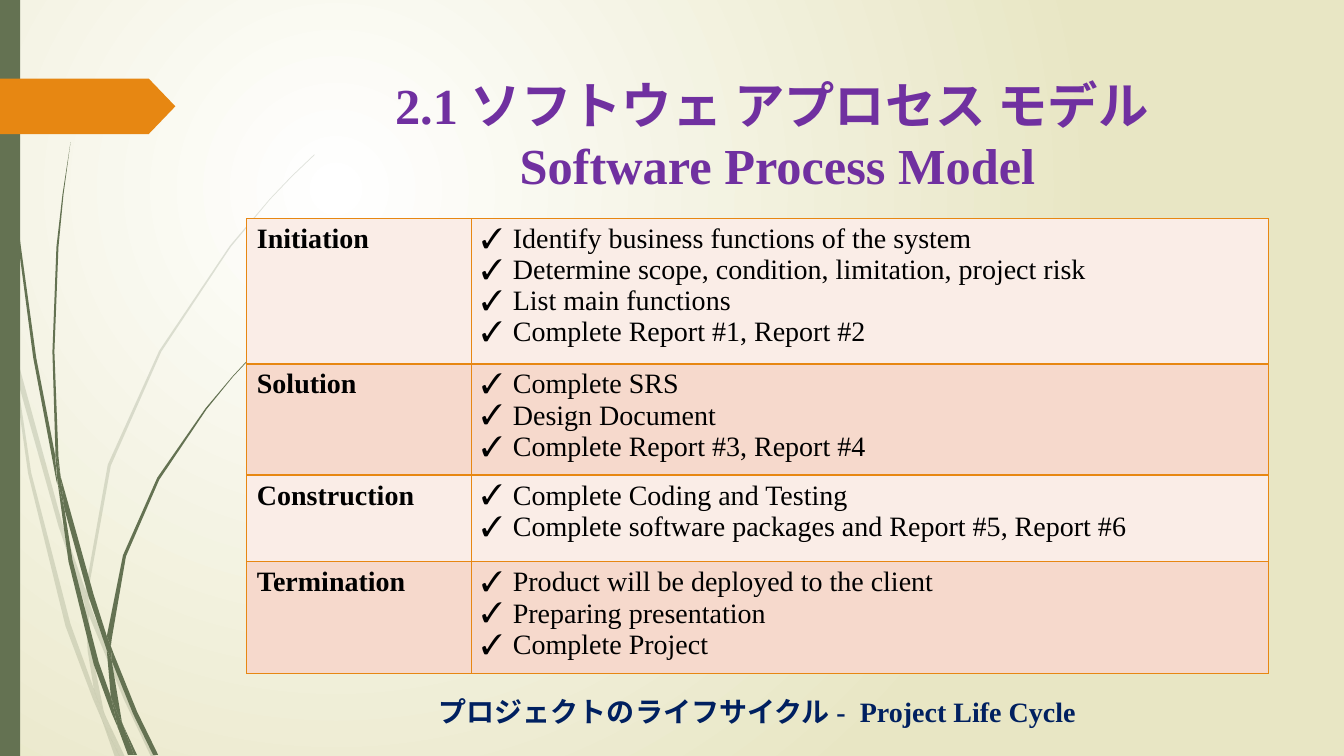
from lxml.etree import SubElement
from pptx import Presentation
from pptx.dml.color import RGBColor
from pptx.enum.shapes import MSO_SHAPE
from pptx.enum.text import MSO_ANCHOR, MSO_AUTO_SIZE, PP_ALIGN
from pptx.oxml import parse_xml
from pptx.oxml.ns import nsdecls, qn
from pptx.util import Cm, Pt

LATIN, JAPANESE = "Times New Roman", "Noto Sans CJK SC"
GREEN, ORANGE = "647252", "E78712"
ROW_FILLS = ("FAEDE7", "F6D9CC")
CM_PER_GRASS_UNIT = 2.54

FADED_BLADES = [
    [(0.11, 3.5), (0.09, 3.22), (0, 2.82), (0, 2.99), (0.1, 3.44)],
    [(0.58, 5.22), (0.84, 5.99), (0.85, 5.86), (0.62, 5.2), (0.14, 3.45), (0.17, 3.76)],
    [(0.92, 6.07), (0.88, 5.96), (0.88, 6.1), (1.23, 6.94), (1.5, 7.51), (1.55, 7.51),
     (1.27, 6.92)],
    [(1.19, 7.51), (1.24, 7.51), (1.05, 7.11)],
    [(0.93, 6.83), (0.7, 6.19), (0.31, 4.69), (0.17, 3.76), (0.11, 3.5), (0.28, 4.7),
     (0.65, 6.21), (0.92, 6.93), (1.01, 7.14), (0.99, 7.07)],
    [(0.84, 5.99), (0.87, 6.46), (0.93, 6.83), (0.96, 6.92), (1.05, 7.11), (1.03, 7.06),
     (0.91, 6.46), (0.88, 6.1), (0.88, 6.08)],
    [(0.88, 5.84), (1.1, 4.62), (1.6, 3.49), (2.29, 2.45), (2.68, 1.98), (2.9, 1.75),
     (3.12, 1.54), (3.12, 1.53), (2.89, 1.75), (2.68, 1.97), (2.28, 2.44), (1.58, 3.48),
     (1.07, 4.61), (0.85, 5.84), (0.85, 5.86), (0.88, 5.96)],
    [(1.01, 7.14), (1.14, 7.51), (1.19, 7.51)],
    [(0.88, 6.08), (0.88, 6.1), (0.88, 5.96), (0.85, 5.86), (0.84, 5.99)],
    [(0.96, 6.92), (0.93, 6.83), (0.99, 7.07), (1.01, 7.14), (1.19, 7.51), (1.05, 7.11)],
]
DARK_BLADES = [
    [(0.07, 1.1), (0.17, 2.33), (0.33, 3.55), (0.56, 4.77), (0.57, 4.81), (0.55, 4.57),
     (0.55, 4.53), (0.36, 3.55), (0.19, 2.32), (0.08, 1.09), (0.05, 0.48), (0.04, 0),
     (0.03, 0), (0.04, 0.48)],
    [(0.88, 5.92), (1.06, 6.45), (1.06, 6.33), (1.06, 6.31), (0.93, 5.9), (0.6, 4.72),
     (0.64, 5.05)],
    [(1.13, 6.49), (1.1, 6.41), (1.11, 6.56), (1.32, 7.08), (1.52, 7.49), (1.57, 7.49),
     (1.36, 7.06)],
    [(1.1, 6.91), (0.98, 6.57), (0.72, 5.56), (0.64, 5.05), (0.57, 4.77), (0.68, 5.57),
     (0.93, 6.59), (1.11, 7.08), (1.17, 7.22), (1.16, 7.17)],
    [(0.6, 4.72), (0.58, 4.53), (0.54, 3.49), (0.58, 2.45), (0.63, 1.93), (0.7, 1.41),
     (0.62, 1.93), (0.56, 2.45), (0.52, 3.49), (0.55, 4.49)],
    [(1.33, 7.49), (1.36, 7.49), (1.22, 7.19)],
    [(0.57, 4.77), (0.64, 5.05), (0.6, 4.72), (0.55, 4.49), (0.55, 4.53)],
    [(1.11, 6.33), (1.25, 5.52), (1.58, 4.76), (2.05, 4.06), (2.31, 3.74), (2.45, 3.59),
     (2.61, 3.44), (2.6, 3.44), (2.45, 3.58), (2.31, 3.73), (2.04, 4.05), (1.56, 4.74),
     (1.22, 5.51), (1.06, 6.31), (1.1, 6.41)],
    [(1.17, 7.22), (1.27, 7.49), (1.31, 7.49)],
    [(1.06, 6.45), (1.1, 6.91), (1.16, 7.06), (1.22, 7.19), (1.21, 7.16), (1.11, 6.56),
     (1.09, 6.51)],
    [(1.06, 6.45), (1.09, 6.51), (1.11, 6.56), (1.1, 6.41), (1.06, 6.31), (1.06, 6.33)],
    [(1.16, 7.06), (1.1, 6.91), (1.16, 7.17), (1.17, 7.22), (1.3, 7.49), (1.33, 7.49),
     (1.22, 7.19)],
]
PHASES = {
    "Initiation": (3.66, ["Identify business functions of the system",
                          "Determine scope, condition, limitation, project risk",
                          "List main functions", "Complete Report #1, Report #2"]),
    "Solution": (2.8, ["Complete SRS", "Design Document", "Complete Report #3, Report #4"]),
    "Construction": (2.19, ["Complete Coding and Testing",
                            "Complete software packages and Report #5, Report #6"]),
    "Termination": (2.82, ["Product will be deployed to the client",
                           "Preparing presentation", "Complete Project"]),
}


def color(value):
    """Return the colour of a hex string."""
    return RGBColor.from_string(value)


def write(paragraph, text, size=20, font=LATIN, fill="000000", bold=False):
    """Append one formatted run to a paragraph."""
    run = paragraph.add_run()
    run.text = text
    run.font.size, run.font.bold, run.font.name = Pt(size), bold, font
    run.font.color.rgb = color(fill)
    if font == JAPANESE:
        SubElement(run.font._element, qn("a:ea"), typeface=font)


def add_check(paragraph):
    """Give a paragraph a hanging check mark."""
    properties = paragraph._p.get_or_add_pPr()
    properties.set("marL", str(Cm(0.79)))
    properties.set("indent", str(Cm(-0.79)))
    SubElement(properties, qn("a:buFont"), typeface=LATIN)
    SubElement(properties, qn("a:buChar"), char="✓")


def paint(shape, fill, opacity=100):
    """Give a shape a plain fill without outline or shadow."""
    shape.shadow.inherit = False
    shape.fill.solid()
    shape.fill.fore_color.rgb = color(fill)
    shape.line.fill.background()
    if opacity < 100:
        for element in shape._element.spPr.iter(qn("a:srgbClr")):
            SubElement(element, qn("a:alpha"), val=str(opacity * 1000))


def add_grass(slide, left, top, blades, opacity):
    """Draw the outlined pieces of the grass blades."""
    for blade in blades:
        outline = [(Cm(left + x * CM_PER_GRASS_UNIT), Cm(top + y * CM_PER_GRASS_UNIT))
                   for x, y in blade]
        builder = slide.shapes.build_freeform(*outline[0])
        builder.add_line_segments(outline[1:], close=True)
        paint(builder.convert_to_shape(), GREEN, opacity)


def add_backdrop(slide, left, top, height):
    """Draw the gradient, grass, side bar and page marker."""
    fill = slide.background.fill
    fill.gradient()
    for stop, shade in zip(fill.gradient_stops, ("FFFFFF", "E8E6C4")):
        stop.color.rgb = color(shade)
    linear = next(slide.element.iter(qn("a:lin")))
    linear.getparent().replace(linear, parse_xml(
        f'<a:path {nsdecls("a")} path="circle">'
        '<a:fillToRect l="50000" t="50000" r="100000" b="100000"/></a:path>'))
    add_grass(slide, left, top, FADED_BLADES, 20)
    add_grass(slide, left, top, DARK_BLADES, 100)
    bar = slide.shapes.add_shape(
        MSO_SHAPE.RECTANGLE, Cm(left), Cm(top), Cm(0.51), Cm(height))
    paint(bar, GREEN)
    marker = slide.shapes.add_shape(
        MSO_SHAPE.PENTAGON, Cm(left), Cm(top + 1.98), Cm(4.42), Cm(1.4))
    marker.adjustments[0] = 0.48
    paint(marker, ORANGE)


def add_title(slide, left, top, width, height):
    """Place the two-language title in its placeholder."""
    title = slide.shapes.title
    title.left, title.top, title.width, title.height = map(Cm, (left, top, width, height))
    frame = title.text_frame
    frame.word_wrap, frame.auto_size = True, MSO_AUTO_SIZE.NONE
    frame.vertical_anchor = MSO_ANCHOR.MIDDLE
    paragraph = frame.paragraphs[0]
    paragraph.alignment = PP_ALIGN.CENTER
    style = {"size": 36, "fill": "7030A0", "bold": True}
    write(paragraph, "2.1 ", **style)
    write(paragraph, "ソフトウェ アプロセス モデル ", font=JAPANESE, **style)
    paragraph.add_line_break()
    SubElement(paragraph._p[-1], qn("a:rPr"), sz="3600")
    write(paragraph, "Software Process Model", **style)


def add_border(cell):
    """Outline a cell in orange."""
    for index, side in enumerate(("lnL", "lnR", "lnT", "lnB")):
        cell._tc.get_or_add_tcPr().insert(index, parse_xml(
            f'<a:{side} {nsdecls("a")} w="{Pt(1)}"><a:solidFill>'
            f'<a:srgbClr val="{ORANGE}"/></a:solidFill></a:{side}>'))


def add_phases(slide, left, top, width):
    """Draw the table of project phases and their tasks."""
    height = sum(row_height for row_height, tasks in PHASES.values())
    table = slide.shapes.add_table(
        len(PHASES), 2, Cm(left), Cm(top), Cm(width), Cm(height)).table
    table.first_row = table.horz_banding = False
    table.columns[0].width, table.columns[1].width = Cm(5.66), Cm(width - 5.66)
    for index, (phase, (row_height, tasks)) in enumerate(PHASES.items()):
        row = table.rows[index]
        row.height = Cm(row_height)
        for cell in row.cells:
            cell.fill.solid()
            cell.fill.fore_color.rgb = color(ROW_FILLS[index % 2])
            add_border(cell)
        name_cell, task_cell = row.cells
        write(name_cell.text_frame.paragraphs[0], phase, bold=True)
        frame = task_cell.text_frame
        for number, task in enumerate(tasks):
            paragraph = frame.add_paragraph() if number else frame.paragraphs[0]
            add_check(paragraph)
            write(paragraph, task)


def add_caption(slide, left, top, width, height):
    """Place the caption under the table."""
    frame = slide.shapes.add_textbox(
        Cm(left), Cm(top), Cm(width), Cm(height)).text_frame
    frame.word_wrap = True
    paragraph = frame.paragraphs[0]
    paragraph.alignment = PP_ALIGN.CENTER
    style = {"fill": "002060", "bold": True}
    write(paragraph, "プロジェクトのライフサイクル ", font=JAPANESE, **style)
    write(paragraph, "-  Project Life Cycle", **style)


def main():
    """Build and save the presentation."""
    presentation = Presentation()
    presentation.slide_width, presentation.slide_height = Cm(33.87), Cm(19.05)
    slide = presentation.slides.add_slide(presentation.slide_layouts[5])
    add_backdrop(slide, 0, 0, 19.05)
    add_title(slide, 7.21, 1.6, 24.77, 3.56)
    add_caption(slide, 8.33, 17.37, 21.51, 1.12)
    add_phases(slide, 6.22, 5.51, 25.75)
    presentation.save("out.pptx")


if __name__ == "__main__":
    main()
